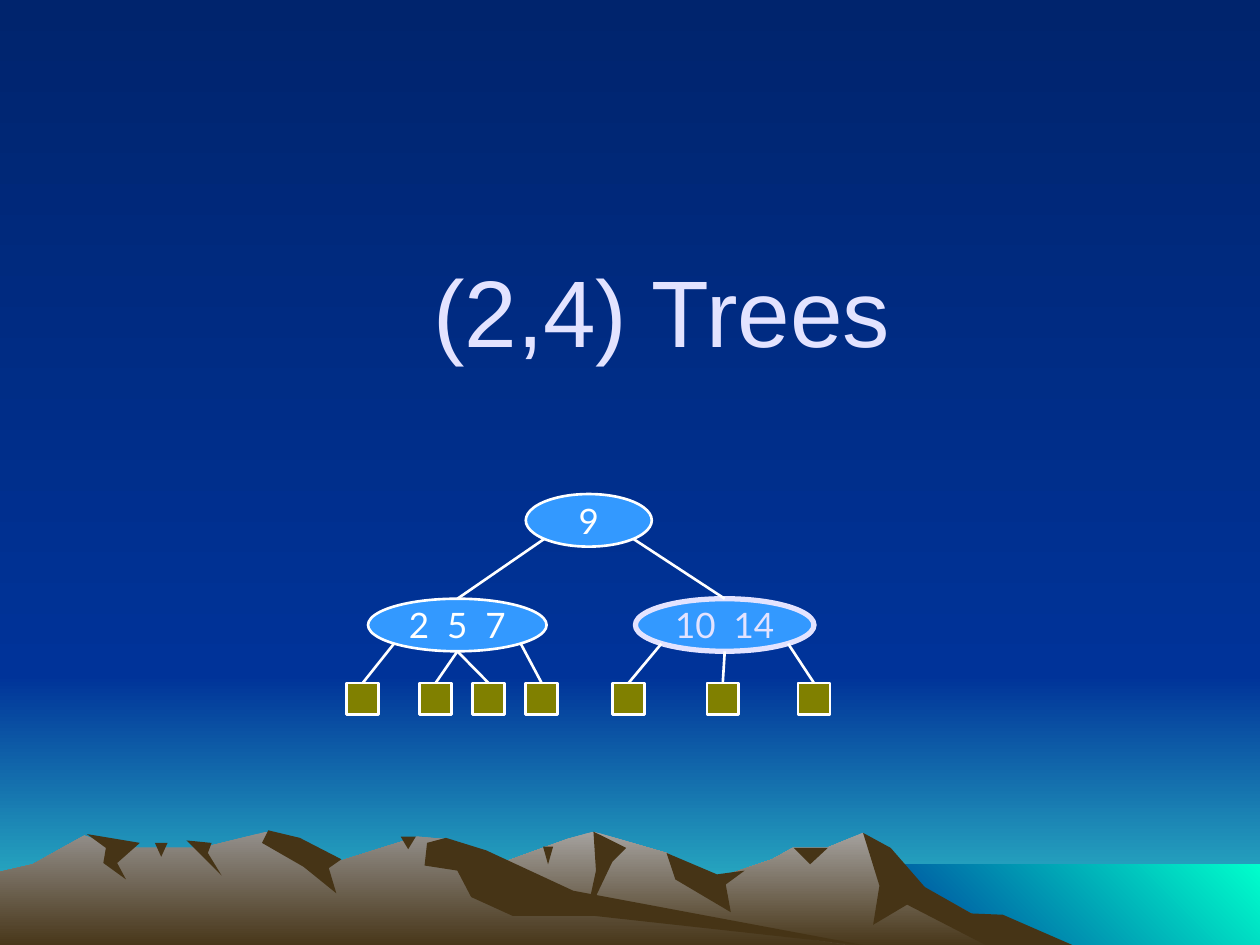
import pptx
import pptx.util
import pptx.dml.color
import pptx.enum.shapes
import pptx.enum.text
import pptx.oxml.ns
import lxml.etree

Cm, Pt = pptx.util.Cm, pptx.util.Pt
SHAPE = pptx.enum.shapes.MSO_SHAPE
UNIT = Cm(0.0254)  # grid step of the hill outlines

HUE = {
    "night": "00246D", "blue": "003399", "teal": "33CCCC", "sea": "00FFCC",
    "mist": "A5A29F", "haze": "938F8B", "earth": "463416",
    "node": "3399FF", "leaf": "808000", "white": "FFFFFF", "pale": "E3E3FF",
}

# Hill outlines from back to front: top colour ("earth" for a shadow), points
HILLS = [
    ("mist", [(258, 153), (327, 111), (395, 86), (450, 66), (471, 60),
              (529, 77), (566, 98), (613, 82), (629, 73), (656, 73),
              (685, 61), (723, 99), (821, 153)]),
    ("earth", [(685, 61), (707, 73), (734, 104), (771, 125), (796, 126),
               (858, 153), (788, 153), (720, 118), (693, 134), (698, 103)]),
    ("earth", [(471, 60), (497, 73), (486, 84), (465, 128), (473, 91)]),
    ("earth", [(529, 77), (569, 94), (591, 91), (576, 102), (580, 124),
               (536, 98)]),
    ("haze", [(0, 153), (0, 92), (26, 86), (67, 63), (94, 73), (160, 73),
              (212, 60), (271, 83), (331, 64), (354, 66), (432, 114),
              (690, 153)]),
    ("earth", [(213, 59), (238, 65), (271, 82), (261, 89), (267, 109),
               (241, 88), (208, 69)]),
    ("earth", [(339, 69), (354, 65), (386, 75), (455, 107), (690, 151),
               (472, 127), (407, 127), (374, 112), (363, 91), (337, 87)]),
    ("earth", [(148, 67), (168, 69), (165, 77), (176, 95)]),
    ("earth", [(69, 62), (111, 69), (93, 85), (100, 98), (82, 85), (84, 73)]),
]
# Small notches: left, top, width, depth
NOTCHES = [(630, 73, 27, 13), (431, 72, 8, 14), (318, 64, 12, 10),
           (123, 69, 10, 11)]


def color(key):
    return pptx.dml.color.RGBColor.from_string(HUE[key])


def blend(fill, first, last, angle=270):
    fill.gradient()
    fill.gradient_angle = angle
    for stop, key in zip(fill.gradient_stops, (first, last)):
        stop.color.rgb = color(key)


def paint(shape, key):
    shape.fill.solid()
    shape.fill.fore_color.rgb = color(key)


def trim(shape, key=None, width=1.5):
    shape.shadow.inherit = False
    if key:
        shape.line.color.rgb = color(key)
        shape.line.width = Pt(width)
    else:
        shape.line.fill.background()


def write(shape, text, font, size, key):
    frame = shape.text_frame
    frame.text = text
    frame.vertical_anchor = pptx.enum.text.MSO_ANCHOR.MIDDLE
    para = frame.paragraphs[0]
    para.alignment = pptx.enum.text.PP_ALIGN.CENTER
    run = para.runs[0].font
    run.name, run.size = font, Pt(size)
    run.color.rgb = color(key)


def scene(slide, left, top, width, height):
    """Glow, sky and sea, as bands of the given box."""
    split, shore, bank = Cm(13.61), Cm(17.42), Cm(17.35)
    bands = [
        (0, split, "blue", "teal", 270, height),
        (0, 0, "night", "blue", 270, split),
        (bank, shore, "blue", "sea", 45, height),
    ]
    for x, y, first, last, angle, end in bands:
        band = slide.shapes.add_shape(
            SHAPE.RECTANGLE, left + x, top + y, width - x, end - y)
        blend(band.fill, first, last, angle)
        trim(band)


def hills(slide, left, top):
    """Mountain range with its shadows."""
    notches = [("earth", [(x, y), (x + w, y), (x + w // 2, y + h)])
               for x, y, w, h in NOTCHES]
    for key, points in HILLS + notches:
        pen = slide.shapes.build_freeform(*points[0], scale=UNIT)
        pen.add_line_segments(points[1:], close=True)
        hill = pen.convert_to_shape(left, top)
        if key == "earth":
            paint(hill, key)
        else:
            blend(hill.fill, key, "earth")
        trim(hill)


def title(slide, left, top, width, height):
    box = slide.shapes.add_textbox(left, top, width, height)
    box.text_frame.word_wrap = True
    write(box, "(2,4) Trees", "Arial", 54, "pale")


def oval(slide, left, top, width, text, key="white", line=1.5):
    node = slide.shapes.add_shape(SHAPE.OVAL, left, top, width, Cm(1.06))
    paint(node, "node")
    trim(node, key, line)
    write(node, text, "Lato", 20, key)
    node.text_frame.word_wrap = False
    return node


def edge(slide, node, side, child):
    """Line from a node's lower left (-1), bottom (0) or lower right (1)."""
    slant = 0.71 if side else 1
    x = node.left + node.width * (1 + side * slant) / 2
    y = node.top + node.height * (1 + slant) / 2
    line = slide.shapes.add_connector(
        pptx.enum.shapes.MSO_CONNECTOR.STRAIGHT,
        int(child.left + child.width / 2), child.top, int(x), int(y))
    line.line.color.rgb = color("white")
    line.line.width = Pt(1.5)
    lxml.etree.SubElement(
        line._element.spPr, pptx.oxml.ns.qn("a:effectLst"))


def tree(slide, left, top):
    root = oval(slide, left + Cm(3.61), top, Cm(2.54), "9")
    # Each branch: side of the root, offset, keys, colour, line, leaves
    branches = [
        (1, 5.82, "10  14", "pale", 3, [(5.36, -1), (7.26, 0), (9.1, 1)]),
        (-1, 0.43, "2  5  7", "white", 1.5,
         [(0, -1), (1.47, 0), (2.54, 0), (3.61, 1)]),
    ]
    for side, x, keys, key, line, leaves in branches:
        node = oval(slide, left + Cm(x), top + Cm(2.11), Cm(3.6), keys, key, line)
        edge(slide, root, side, node)
        for spot, end in leaves:
            leaf = slide.shapes.add_shape(
                SHAPE.RECTANGLE, left + Cm(spot), top + Cm(3.81),
                Cm(0.64), Cm(0.64))
            paint(leaf, "leaf")
            trim(leaf, "white")
            edge(slide, node, end, leaf)


def main():
    deck = pptx.Presentation()
    deck.slide_width, deck.slide_height = Cm(25.4), Cm(19.05)
    slide = deck.slides.add_slide(deck.slide_layouts[6])
    blend(slide.background.fill, "night", "blue")
    scene(slide, 0, 0, deck.slide_width, deck.slide_height)
    hills(slide, 0, Cm(15.24))
    title(slide, Cm(2.54), Cm(4.65), Cm(21.59), Cm(3.18))
    tree(slide, Cm(6.99), Cm(9.96))
    deck.save("out.pptx")


if __name__ == "__main__":
    main()
